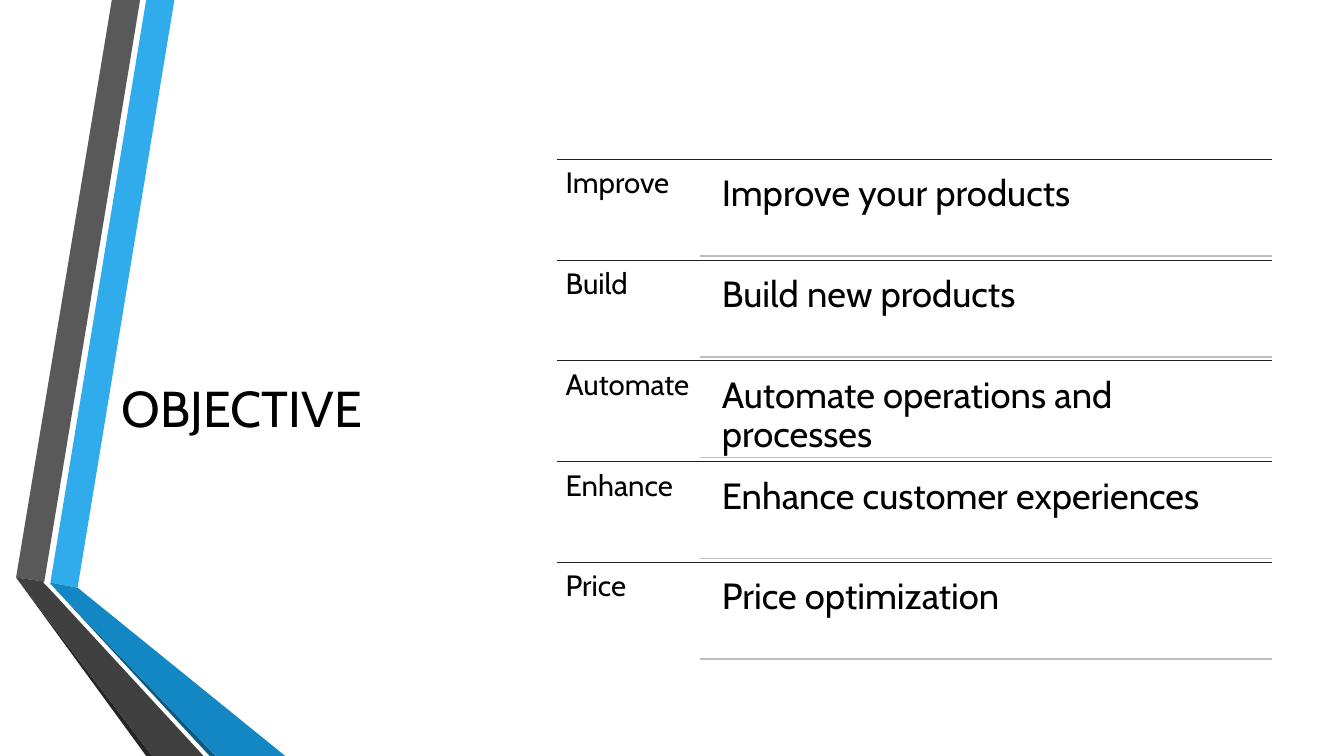
from pptx import Presentation
from pptx.dml.color import RGBColor
from pptx.enum.shapes import MSO_CONNECTOR
from pptx.enum.text import MSO_ANCHOR, PP_ALIGN
from pptx.oxml.ns import qn
from pptx.util import Inches, Pt
from lxml import etree

# Content
TITLE = "OBJECTIVE"
GOALS = [
    ("Improve", "Improve your products"),
    ("Build", "Build new products"),
    ("Automate", "Automate operations and processes"),
    ("Enhance", "Enhance customer experiences"),
    ("Price", "Price optimization"),
]
FONT = "Cabin"
COLORS = {
    "text": "000000", "rule": "212121", "thin": "BDBDBD",
    "blue": "30ACEC", "gray": "595959", "coal": "262626",
    "navy": "0C5A82", "deep": "1287C3", "dark": "404040",
}

# Ribbon outlines, back to front
RIBBON = [
    ("blue", [(0.5, 5.78), (0.77, 5.83), (1.73, 0), (1.45, 0)]),
    ("gray", [(1.39, 0), (1.11, 0), (0.16, 5.73), (0.44, 5.77)]),
    ("coal", [(0.16, 5.73), (1.45, 7.5), (1.51, 7.5)]),
    ("navy", [(0.5, 5.79), (2.08, 7.5), (2.14, 7.5)]),
    ("deep", [(0.5, 5.79), (2.14, 7.5), (2.83, 7.5), (0.77, 5.83), (0.5, 5.78)]),
    ("dark", [(2.02, 7.5), (0.48, 5.83), (0.43, 5.78), (0.44, 5.77),
              (0.16, 5.73), (1.51, 7.5)]),
]

# List grid
LEFT, RIGHT, TOP, ROW = 5.52, 12.62, 1.58, 1.0
SPLIT, INDENT = 6.94, 7.05
PAD, BODY = 0.05, 0.91

deck = Presentation()
deck.slide_width, deck.slide_height = Inches(13.33), Inches(7.5)
slide = deck.slides.add_slide(deck.slide_layouts[6])
shapes = slide.shapes


def color(name):
    return RGBColor.from_string(COLORS[name])


def add_band(name, points):
    spots = [(Inches(x), Inches(y)) for x, y in points]
    pen = shapes.build_freeform(*spots[0])
    pen.add_line_segments(spots[1:], close=True)
    band = pen.convert_to_shape()
    band.shadow.inherit = False
    band.fill.solid()
    band.fill.fore_color.rgb = color(name)
    band.line.fill.background()


def add_text(text, x, y, width, height, size, inset):
    box = shapes.add_textbox(Inches(x), Inches(y), Inches(width), Inches(height))
    frame = box.text_frame
    frame.word_wrap = True
    frame.margin_left = frame.margin_right = Inches(inset)
    frame.margin_top = frame.margin_bottom = Inches(inset)
    frame.text = text
    line = frame.paragraphs[0]
    line.line_spacing = 0.9
    font = line.runs[0].font
    font.name, font.size = FONT, Pt(size)
    font.color.rgb = color("text")
    return frame


def add_rule(x, y, name, weight):
    rule = shapes.add_connector(MSO_CONNECTOR.STRAIGHT, Inches(x), Inches(y),
                                Inches(RIGHT), Inches(y))
    rule.line.color.rgb = color(name)
    rule.line.width = Pt(weight)
    etree.SubElement(rule._element.spPr, qn("a:effectLst"))


# Ribbon
for name, points in RIBBON:
    add_band(name, points)

# Title
title = add_text(TITLE, 0.7, 1.58, 3.4, 5, 36, 0.1)
title.vertical_anchor = MSO_ANCHOR.MIDDLE
title.paragraphs[0].alignment = PP_ALIGN.CENTER

# Goals
for i, (label, goal) in enumerate(GOALS):
    y = TOP + i * ROW
    add_rule(LEFT, y, "rule", 0.75)
    add_text(label, LEFT, y, SPLIT - LEFT, ROW, 21, 0.09)
    add_text(goal, INDENT, y + PAD, RIGHT - INDENT, BODY, 26, 0.11)
    add_rule(SPLIT, y + PAD + BODY, "thin", 1.25)

deck.save("out.pptx")
